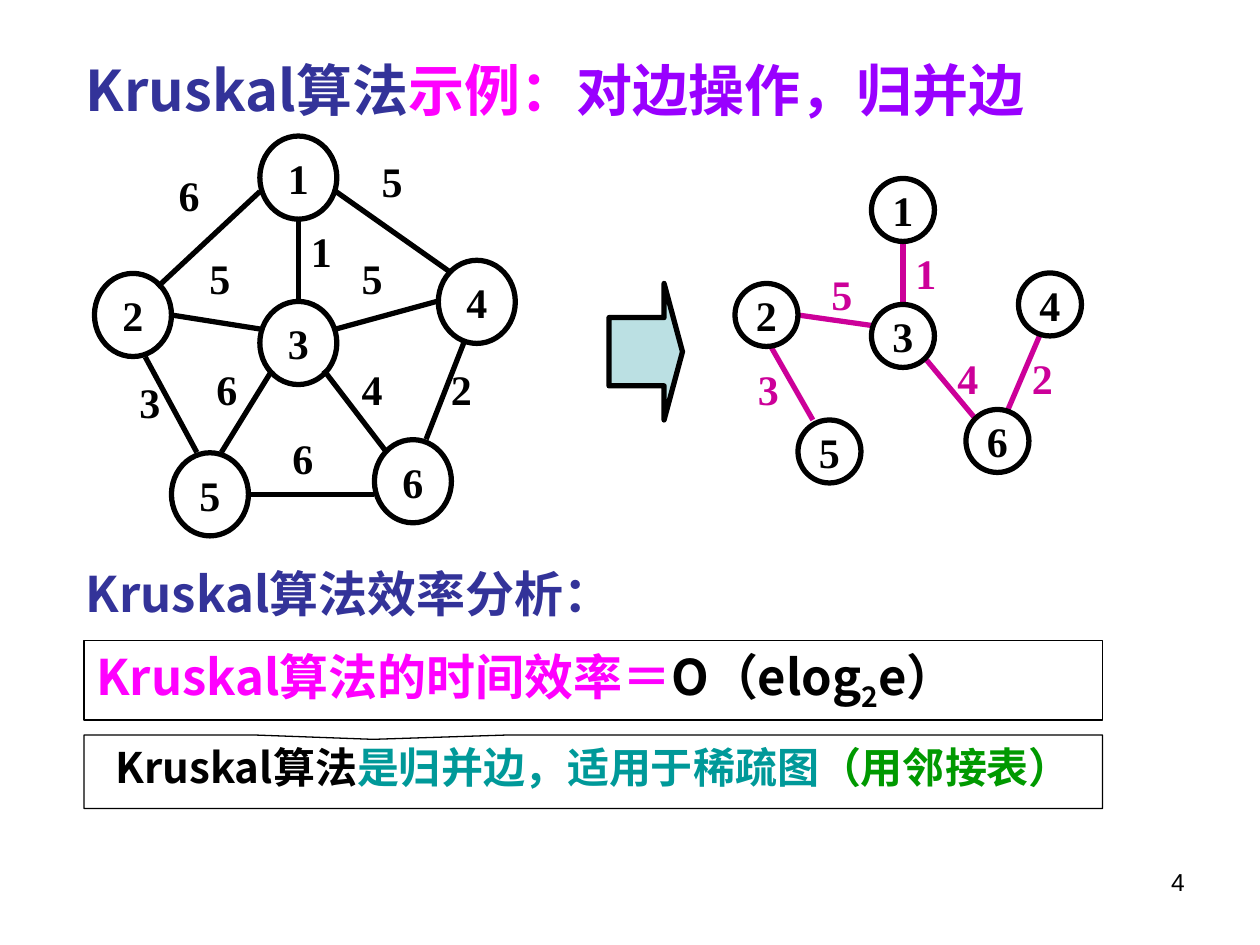
from dataclasses import dataclass

from lxml import etree
from pptx import Presentation
from pptx.dml.color import RGBColor
from pptx.enum.shapes import MSO_CONNECTOR, MSO_SHAPE
from pptx.enum.text import MSO_ANCHOR as Anchor, PP_ALIGN as Align
from pptx.oxml.ns import qn
from pptx.util import Pt


@dataclass(frozen=True)
class Theme:
    black: str = "000000"
    white: str = "FFFFFF"
    navy: str = "333399"
    pink: str = "FF00FF"
    violet: str = "9900FF"
    tree: str = "CC0099"
    arrow: str = "BBE0E3"
    teal: str = "009999"
    green: str = "009900"
    title: int = 32
    heading: int = 28
    body: int = 24
    number: int = 14
    thick: float = 3
    thin: float = 0.75
    sans: str = "Noto Sans CJK SC"
    serif: str = "Times New Roman"
    plain: str = "Arial"


theme = Theme()
prs = Presentation()
prs.slide_width, prs.slide_height = Pt(720), Pt(540)
slide = prs.slides.add_slide(prs.slide_layouts[6])
shapes = slide.shapes


def write(shape, runs, size, font, align=Align.LEFT, anchor=Anchor.TOP, wrap=True, bold=True):
    """Fill a shape with (text, colour[, baseline]) runs."""
    frame = shape.text_frame
    frame.word_wrap, frame.vertical_anchor = wrap, anchor
    paragraph = frame.paragraphs[0]
    paragraph.alignment = align
    for text, color, *baseline in runs:
        run = paragraph.add_run()
        run.text = text
        run.font.size, run.font.bold, run.font.name = Pt(size), bold, font
        run.font.color.rgb = RGBColor.from_string(color)
        props = run.font._element
        etree.SubElement(props, qn("a:ea")).set("typeface", font)
        if baseline:
            props.set("baseline", str(baseline[0]))


def outlined(preset, box, width, fill=None):
    """Add a black-outlined shape, hollow unless a fill is given."""
    shape = shapes.add_shape(preset, *map(Pt, box))
    shape.shadow.inherit = False
    shape.line.color.rgb = RGBColor.from_string(theme.black)
    shape.line.width = Pt(width)
    if fill:
        shape.fill.solid()
        shape.fill.fore_color.rgb = RGBColor.from_string(fill)
    else:
        shape.fill.background()
    return shape


# Title
title = shapes.add_textbox(Pt(42), Pt(30), Pt(570), Pt(42))
write(title, [("Kruskal算法", theme.navy), ("示例：", theme.pink), ("对边操作，归并边", theme.violet)],
      theme.title, theme.sans, anchor=Anchor.MIDDLE)

# Each graph: edge colour, node size, node centres,
# edges as (weight, start, end, label corner)
graph = (
    theme.black, (44, 47.5),
    {"1": (170.5, 101.5), "2": (76, 180), "3": (170.5, 196),
     "4": (272.5, 172.5), "5": (120, 282.5), "6": (236, 275)},
    [("6", (148.5, 109.5), (90, 164), (95, 93.5)),
     ("5", (192, 109.5), (258, 156), (211, 85.5)),
     ("1", (170.5, 125.5), (170.5, 172), (170.5, 125.5)),
     ("5", (98, 180), (148.5, 188), (112.5, 141)),
     ("5", (192, 188), (250.5, 172), (199.5, 141)),
     ("3", (83, 204), (112.5, 258.5), (72.5, 211.5)),
     ("6", (155.5, 211.5), (126.5, 258.5), (116.5, 204)),
     ("4", (185, 211.5), (221, 258.5), (199.5, 204)),
     ("2", (265, 196), (243.5, 251), (250.5, 204)),
     ("6", (141, 282.5), (214, 282.5), (160, 243.5))],
)
spanning_tree = (
    theme.tree, (36, 36),
    {"1": (516, 120), "2": (438, 180), "3": (516, 192),
     "4": (600, 174), "5": (474, 258), "6": (570, 252)},
    [("1", (516, 138), (516, 174), (516, 138)),
     ("5", (456, 180), (498, 186), (468, 150)),
     ("4", (528, 204), (558, 240), (540, 198)),
     ("3", (440.5, 198), (464.5, 240), (426, 204)),
     ("2", (594, 192), (576, 234), (582.5, 198))],
)

for color, (width, height), nodes, edges in (graph, spanning_tree):
    # Edges and their weights
    for weight, start, end, corner in edges:
        edge = shapes.add_connector(MSO_CONNECTOR.STRAIGHT, *map(Pt, start + end))
        edge.line.color.rgb = RGBColor.from_string(color)
        edge.line.width = Pt(theme.thick)
        etree.SubElement(edge._element.spPr, qn("a:effectLst"))
        label = shapes.add_textbox(*map(Pt, corner), Pt(26), Pt(36))
        write(label, [(weight, color)], theme.body, theme.serif, wrap=False)
    # Numbered nodes
    for name, (x, y) in nodes.items():
        node = outlined(MSO_SHAPE.OVAL, (x - width / 2, y - height / 2, width, height), theme.thick)
        write(node, [(name, theme.black)], theme.body, theme.serif,
              Align.CENTER, Anchor.MIDDLE, wrap=False)

# Arrow from the graph to its spanning tree
arrow = outlined(MSO_SHAPE.RIGHT_ARROW, (348, 162, 42, 78), theme.thick, theme.arrow)
arrow.adjustments[0], arrow.adjustments[1] = 0.5, 0.25

# Efficiency analysis
heading = shapes.add_textbox(Pt(42), Pt(318), Pt(612), Pt(42))
write(heading, [("Kruskal算法效率分析：", theme.navy)], theme.heading, theme.sans, anchor=Anchor.MIDDLE)

complexity = outlined(MSO_SHAPE.RECTANGLE, (48, 366, 582, 45.5), theme.thin, theme.white)
write(complexity, [("Kruskal算法的时间效率＝", theme.pink), ("O（elog", theme.black),
                   ("2", theme.black, -25000), ("e）", theme.black)],
      theme.heading, theme.sans)

remark = outlined(MSO_SHAPE.RECTANGULAR_CALLOUT, (48, 420, 582, 42), theme.thin, theme.white)
remark.adjustments[0], remark.adjustments[1] = -0.216, -0.44
write(remark, [("Kruskal算法", theme.black), ("是归并边，适用于稀疏图", theme.teal),
               ("（用邻接表）", theme.green)],
      theme.body, theme.sans, Align.CENTER)

# Slide number
page_number = shapes.add_textbox(Pt(516), Pt(492), Pt(168), Pt(37.5))
write(page_number, [("4", theme.black)], theme.number, theme.plain, Align.RIGHT, bold=False)

prs.save("out.pptx")
